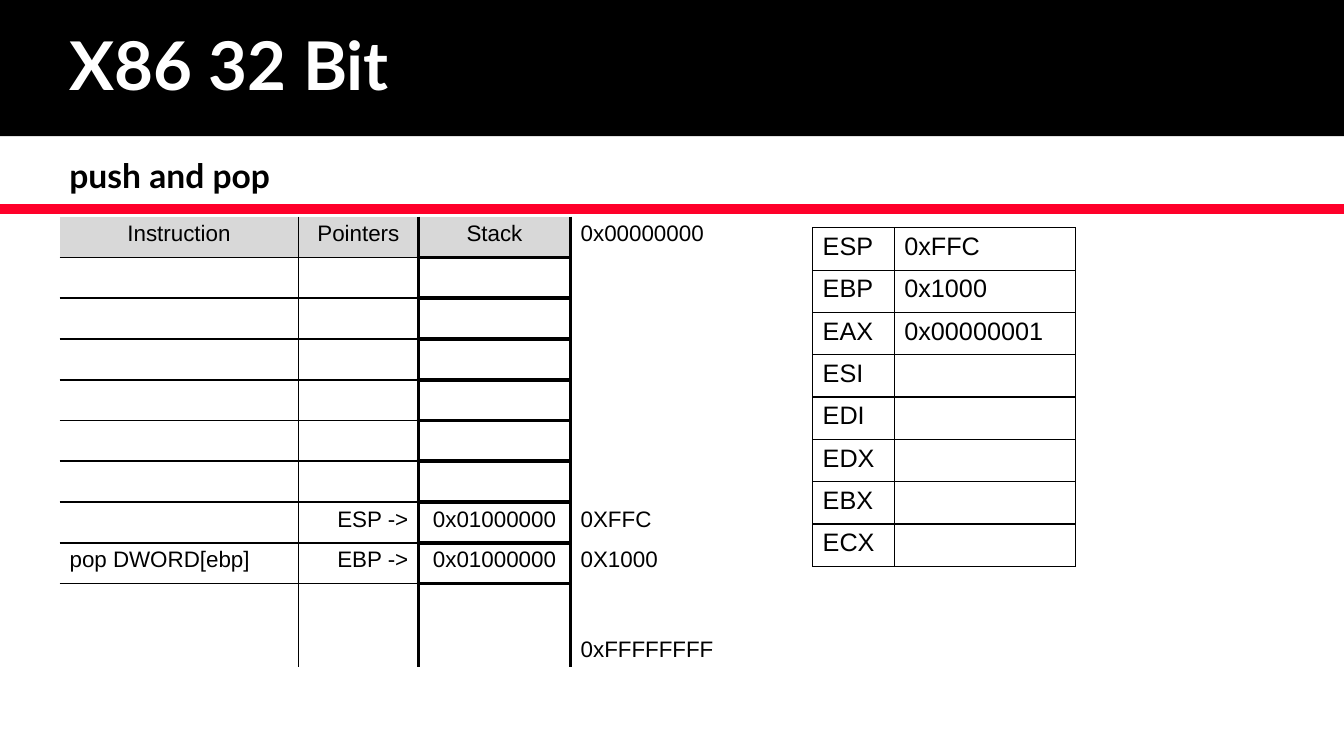
import pptx
import pptx.dml.color
import pptx.enum.shapes
import pptx.enum.text
import pptx.oxml
import pptx.oxml.ns
import pptx.util

Inches = pptx.util.Inches
Pt = pptx.util.Pt
RGB = pptx.dml.color.RGBColor
Align = pptx.enum.text.PP_ALIGN
Anchor = pptx.enum.text.MSO_ANCHOR

BLACK = RGB(0x00, 0x00, 0x00)
WHITE = RGB(0xFF, 0xFF, 0xFF)
RED = RGB(0xFF, 0x00, 0x2A)
GREY = RGB(0xD8, 0xD8, 0xD8)
WIDTH = 13.33

STACK = [
    ["Instruction", "Pointers", "Stack", "0x00000000"],
    *[[""] * 4 for _ in range(6)],
    ["", "ESP ->", "0x01000000", "0XFFC"],
    ["pop DWORD[ebp]", "EBP ->", "0x01000000", "0X1000"],
    ["", "", "", "0xFFFFFFFF"],
]
REGS = [
    ["ESP", "0xFFC"],
    ["EBP", "0x1000"],
    ["EAX", "0x00000001"],
    *[[name, ""] for name in ("ESI", "EDI", "EDX", "EBX", "ECX")],
]


def assign(item, values):
    """Set each named attribute of item."""
    for name, value in values.items():
        setattr(item, name, value)


def border(cell, widths):
    """Draw left, right, top and bottom edges; zero means no line."""
    props = cell._tc.get_or_add_tcPr()
    space = pptx.oxml.ns.nsdecls("a")
    for side, width in zip("LRTB", widths):
        paint = (f'<a:solidFill><a:srgbClr val="{BLACK}"/></a:solidFill>'
                 if width else "<a:noFill/>")
        props.append(pptx.oxml.parse_xml(
            f'<a:ln{side} {space} w="{Pt(width)}">{paint}</a:ln{side}>'))


class Deck:
    head = {"name": "Lato", "bold": True}
    body = {"name": "Arial", "bold": False}

    def __init__(self, slide):
        self.slide = slide
        self.shapes = slide.shapes

    def band(self, height, color):
        kind = pptx.enum.shapes.MSO_SHAPE.RECTANGLE
        shape = self.shapes.add_shape(kind, 0, 0, Inches(WIDTH), Inches(height))
        shape.shadow.inherit = False
        shape.fill.solid()
        shape.fill.fore_color.rgb = color
        shape.line.fill.background()

    def rule(self, top, color, width):
        kind = pptx.enum.shapes.MSO_CONNECTOR.STRAIGHT
        line = self.shapes.add_connector(
            kind, 0, Inches(top), Inches(WIDTH), Inches(top))
        line.line.color.rgb = color
        line.line.width = Pt(width)
        line._element.spPr.append(pptx.oxml.parse_xml(
            f'<a:effectLst {pptx.oxml.ns.nsdecls("a")}/>'))

    def text(self, words, top, height, size, color, anchor):
        box = self.shapes.add_textbox(
            Inches(0.59), Inches(top), Inches(12.19), Inches(height))
        assign(box.text_frame, {"word_wrap": True, "vertical_anchor": anchor})
        para = box.text_frame.paragraphs[0]
        para.line_spacing = 0.9
        run = para.add_run()
        run.text = words
        assign(run.font, {**self.head, "size": Pt(size)})
        run.font.color.rgb = color

    def table(self, rows, left, top, cols, highs, size):
        """Add a plain table and return it for further styling."""
        grid = self.shapes.add_table(
            len(rows), len(cols), Inches(left), Inches(top),
            Inches(sum(cols)), Inches(sum(highs))).table
        assign(grid, {"first_row": False, "horz_banding": False})
        for col, width in zip(grid.columns, cols):
            col.width = Inches(width)
        for line, high, words in zip(grid.rows, highs, rows):
            line.height = Inches(high)
            for cell, word in zip(line.cells, words):
                cell.text = word
                font = cell.text_frame.paragraphs[0].font
                assign(font, {**self.body, "size": Pt(size)})
                font.color.rgb = BLACK
        return grid

    def stack(self):
        """Add the stack, open at its outer edges."""
        highs = [3.64 / 9] * 9 + [0.83]
        grid = self.table(STACK, 0.59, 2.15, [2.37, 1.19, 1.51, 1.52], highs, 16)
        sides = [0, 1.5, 3, 3, 0]
        flats = [1.5, 1.5, 3, 0]
        aligns = [Align.LEFT, Align.RIGHT, Align.CENTER, Align.LEFT]
        last = len(STACK) - 1
        for row, line in enumerate(grid.rows):
            for col, cell in enumerate(line.cells):
                border(cell, [sides[col], sides[col + 1],
                              flats[col] if row else 0,
                              flats[col] if row < last else 0])
                title = row == 0 and col < 3
                if title:
                    cell.fill.solid()
                    cell.fill.fore_color.rgb = GREY
                else:
                    cell.fill.background()
                para = cell.text_frame.paragraphs[0]
                para.alignment = Align.CENTER if title else aligns[col]
        grid.cell(last, 3).vertical_anchor = Anchor.BOTTOM

    def regs(self):
        """Add the register list in a full grid."""
        grid = self.table(REGS, 8.06, 2.26, [0.81, 1.8], [0.42] * 8, 18)
        for cell in grid.iter_cells():
            border(cell, [1] * 4)
            cell.fill.background()


def main():
    show = pptx.Presentation()
    assign(show, {"slide_width": Inches(WIDTH), "slide_height": Inches(7.5)})
    deck = Deck(show.slides.add_slide(show.slide_layouts[6]))
    deck.band(1.35, BLACK)
    deck.rule(2.07, RED, 7)
    deck.text("X86 32 Bit", 0.31, 0.74, 48, WHITE, Anchor.MIDDLE)
    deck.text("push and pop", 1.53, 0.35, 24, BLACK, Anchor.TOP)
    deck.stack()
    deck.regs()
    show.save("out.pptx")


if __name__ == "__main__":
    main()
